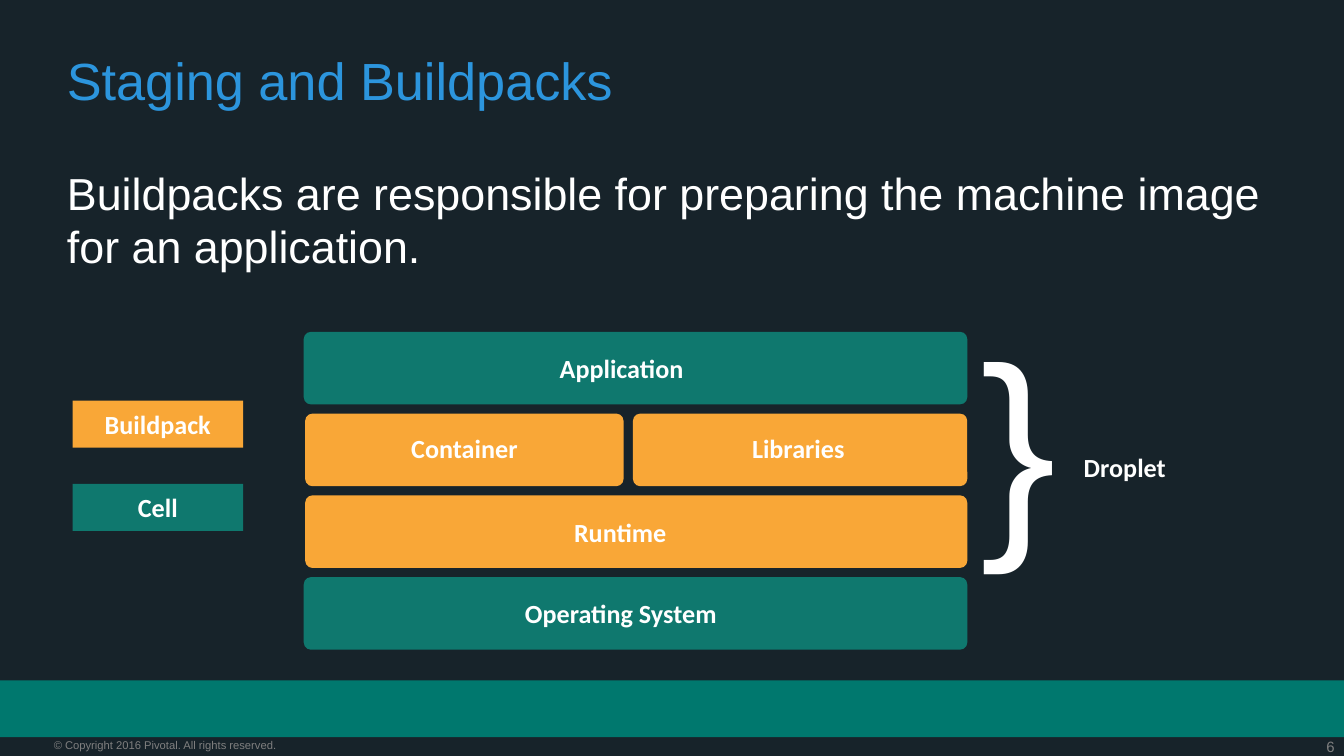
from dataclasses import dataclass
from typing import Optional

from pptx import Presentation
from pptx.dml.color import RGBColor
from pptx.enum.shapes import MSO_SHAPE
from pptx.enum.text import MSO_ANCHOR, MSO_AUTO_SIZE, PP_ALIGN
from pptx.util import Pt

RECT, ROUNDED = MSO_SHAPE.RECTANGLE, MSO_SHAPE.ROUNDED_RECTANGLE
TOP, MIDDLE = MSO_ANCHOR.TOP, MSO_ANCHOR.MIDDLE
LEFT, CENTER, RIGHT = PP_ALIGN.LEFT, PP_ALIGN.CENTER, PP_ALIGN.RIGHT
GROW = MSO_AUTO_SIZE.SHAPE_TO_FIT_TEXT

COLORS = {
    "background": "17232A",
    "footer": "00786E",
    "cell": "0F786E",
    "buildpack": "F9A737",
    "title": "2C95DD",
    "white": "FFFFFF",
    "grey": "7F7F7F",
}
LABEL_H = 25.2
LABEL_INSET = 4.5
BAR_TOP, BAR_STEP, BAR_H = 177.8, 43.8, 38.9
BAR_RIGHT = 518.2


@dataclass
class Bar:
    row: int
    left: float
    right: float
    color: str


@dataclass
class Label:
    text: str
    center: float
    middle: float
    width: float
    color: Optional[str] = None
    wrap: bool = False


@dataclass
class Copy:
    text: str
    left: float
    top: float
    width: float
    height: float
    size: float
    color: str
    align: PP_ALIGN = LEFT
    inset: Optional[float] = None
    spacing: Optional[float] = None


BARS = [
    Bar(1, 163.5, 334.1, "buildpack"),
    Bar(2, 163.5, BAR_RIGHT, "buildpack"),
    Bar(3, 162.7, BAR_RIGHT, "cell"),
    Bar(0, 162.7, BAR_RIGHT, "cell"),
    Bar(1, 339.1, BAR_RIGHT, "buildpack"),
]
LABELS = [
    Label("Application", 333, 197, 88.6),
    Label("Container", 248.8, 240.1, 75.6, "buildpack"),
    Label("Runtime", 332.3, 284.8, 65.5),
    Label("Operating System", 332.6, 328.7, 132.5, "cell"),
    Label("Libraries", 427.7, 240.1, 67.7),
    Label("Cell", 84.6, 271.8, 91.4, "cell", True),
    Label("Buildpack", 84.6, 227.2, 91.4, "buildpack", True),
    Label("Droplet", 602.6, 250.2, 60.5),
]
COPIES = [
    Copy("6", 673.2, 395.3, 41.8, 10.1, 8, "grey", RIGHT, 0),
    Copy("© Copyright 2016 Pivotal. All rights reserved.",
         28.8, 395.3, 179.3, 7.2, 6, "grey", LEFT, 0),
    Copy("Staging and Buildpacks", 28.8, 25.9, 662.4, 49, 28, "title", spacing=0.9),
    Copy("Buildpacks are responsible for preparing the machine image for an application.",
         28.8, 85, 662.4, 270, 24, "white"),
]


def rgb(name: str) -> RGBColor:
    return RGBColor.from_string(COLORS[name])


def add_box(s, kind, left: float, top: float, width: float, height: float, color: str):
    sp = s.shapes.add_shape(kind, Pt(left), Pt(top), Pt(width), Pt(height))
    sp.shadow.inherit = False
    sp.fill.solid()
    sp.fill.fore_color.rgb = rgb(color)
    sp.line.fill.background()
    return sp


def add_textbox(s, left: float, top: float, width: float, height: float):
    return s.shapes.add_textbox(Pt(left), Pt(top), Pt(width), Pt(height))


def set_text(sp, text: str, size: float, color: str, font: str = "Arial",
             bold: bool = False, align: PP_ALIGN = LEFT, anchor: MSO_ANCHOR = TOP,
             inset: Optional[float] = None, wrap: bool = True) -> None:
    tf = sp.text_frame
    tf.text = text
    tf.word_wrap = wrap
    tf.vertical_anchor = anchor
    if inset is not None:
        tf.margin_left = tf.margin_right = Pt(inset)
        tf.margin_top = tf.margin_bottom = Pt(inset)
    p = tf.paragraphs[0]
    p.alignment = align
    r = p.runs[0]
    r.font.name = font
    r.font.size = Pt(size)
    r.font.bold = bold
    r.font.color.rgb = rgb(color)


def draw_bar(s, bar: Bar) -> None:
    sp = add_box(s, ROUNDED, bar.left, BAR_TOP + bar.row * BAR_STEP,
                 bar.right - bar.left, BAR_H, bar.color)
    sp.adjustments[0] = 0.1


def draw_label(s, label: Label) -> None:
    place = (label.center - label.width / 2, label.middle - LABEL_H / 2,
             label.width, LABEL_H)
    sp = add_box(s, RECT, *place, label.color) if label.color else add_textbox(s, *place)
    set_text(sp, label.text, 14, "white", "Calibri", True, CENTER, MIDDLE,
             LABEL_INSET, label.wrap)
    sp.text_frame.auto_size = GROW


def draw_copy(s, copy: Copy) -> None:
    sp = add_textbox(s, copy.left, copy.top, copy.width, copy.height)
    set_text(sp, copy.text, copy.size, copy.color, align=copy.align, inset=copy.inset)
    if copy.spacing:
        sp.text_frame.paragraphs[0].line_spacing = copy.spacing


def draw_brace(s) -> None:
    sp = add_textbox(s, 520.6, 155.5, 49, 156.2)
    set_text(sp, "}", 122, "white", align=CENTER, anchor=MIDDLE,
             inset=LABEL_INSET, wrap=False)
    sp.text_frame.auto_size = GROW


def main() -> None:
    prs = Presentation()
    prs.slide_width, prs.slide_height = Pt(720), Pt(405)
    s = prs.slides.add_slide(prs.slide_layouts[6])
    s.background.fill.solid()
    s.background.fill.fore_color.rgb = rgb("background")
    add_box(s, RECT, 0, 364.5, 720, 30.4, "footer")
    for copy in COPIES:
        draw_copy(s, copy)
    for bar in BARS:
        draw_bar(s, bar)
    for label in LABELS:
        draw_label(s, label)
    draw_brace(s)
    prs.save("out.pptx")


if __name__ == "__main__":
    main()
